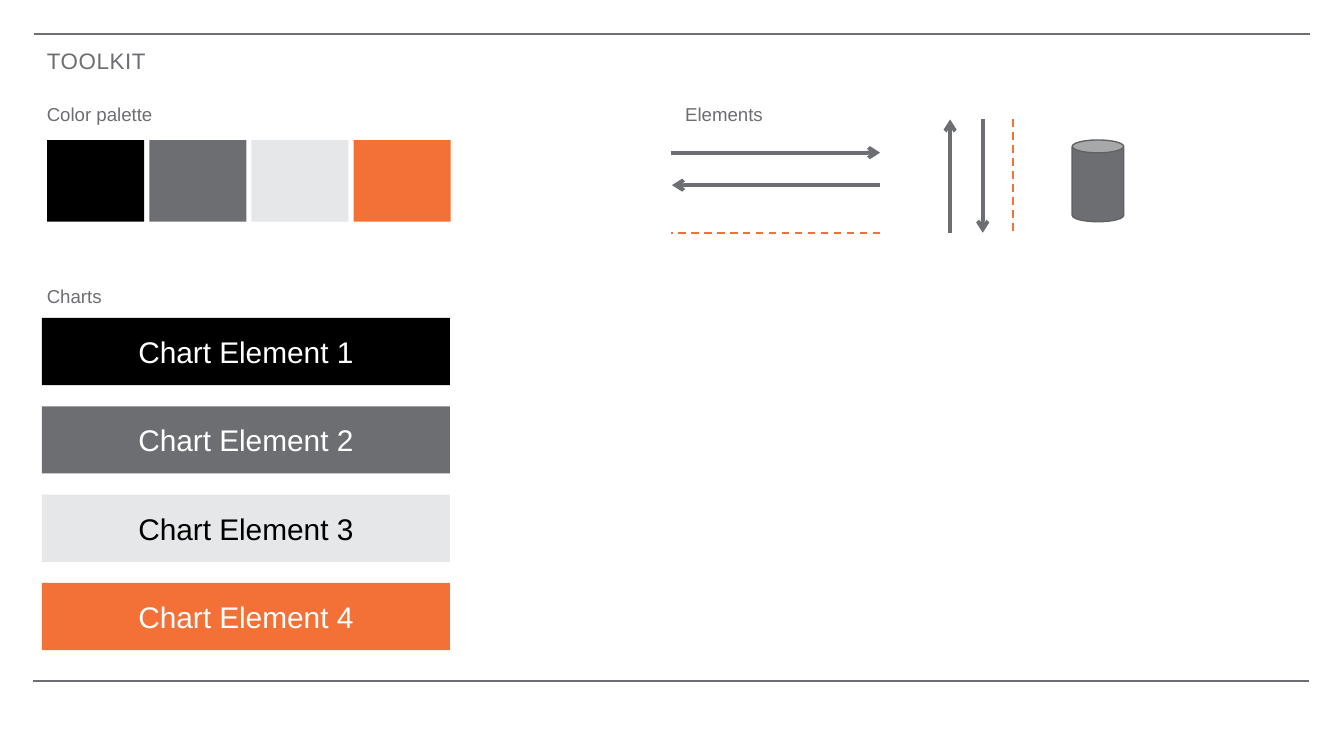
import pptx
import pptx.dml.color
import pptx.enum.dml
import pptx.enum.shapes
import pptx.enum.text
import pptx.oxml.ns
import pptx.util
from lxml import etree

Pt = pptx.util.Pt
SHAPES = pptx.enum.shapes.MSO_SHAPE
FONT = "Arial"
COLORS = {
    "black": "000000",
    "gray": "6D6E71",
    "light": "E6E7E8",
    "orange": "F37037",
    "outline": "616263",
    "white": "FFFFFF",
}

# text, left, top, width, height, size
LABELS = [
    ("TOOLKIT", 18, 21.6, 143.3, 21.6, 12),
    ("Color palette", 18, 51.8, 116.6, 19.4, 10),
    ("Charts", 18, 149, 56.2, 19.4, 10),
    ("Elements", 360, 51.8, 90, 19.4, 10),
]
TITLE_SPACING = 0.3

PALETTE = ["black", "gray", "light", "orange"]
SWATCH = {"left": 25.3, "top": 75, "width": 52, "height": 43.8, "step": 54.7}

BARS = [
    ("Chart Element 1", "black", "white"),
    ("Chart Element 2", "gray", "white"),
    ("Chart Element 3", "light", "black"),
    ("Chart Element 4", "orange", "white"),
]
BAR = {"left": 22.4, "top": 170.4, "width": 218.7, "height": 36, "step": 47.3}

# start x, start y, end x, end y
RULES = [(18, 18, 702, 18), (17.7, 365, 701.3, 365)]
ARROWS = [
    (359.5, 81.8, 471.5, 81.8),
    (471.5, 99.2, 360, 99.2),
    (509, 124.7, 509, 64),
    (526.5, 64, 526.5, 124.7),
]
DASHES = [(542.5, 64, 542.5, 124.7), (471.5, 124.7, 359.5, 124.7)]
CYLINDER = (574.4, 75, 27.6, 43.8)


def rgb(name):
    return pptx.dml.color.RGBColor.from_string(COLORS[name])


def style_font(paragraph, size, color):
    paragraph.font.name = FONT
    paragraph.font.size = Pt(size)
    paragraph.font.color.rgb = rgb(color)


def add_label(slide, text, left, top, width, height, size):
    box = slide.shapes.add_textbox(Pt(left), Pt(top), Pt(width), Pt(height))
    box.text_frame.word_wrap = True
    paragraph = box.text_frame.paragraphs[0]
    paragraph.text = text
    style_font(paragraph, size, "gray")
    return paragraph


def add_filled(slide, kind, left, top, width, height, color):
    shape = slide.shapes.add_shape(kind, Pt(left), Pt(top), Pt(width), Pt(height))
    shape.shadow.inherit = False
    shape.fill.solid()
    shape.fill.fore_color.rgb = rgb(color)
    shape.line.fill.background()
    return shape


def add_line(slide, points, color, width, dashed=False, arrow=False):
    connector = slide.shapes.add_connector(
        pptx.enum.shapes.MSO_CONNECTOR.STRAIGHT, *(Pt(value) for value in points)
    )
    connector.line.color.rgb = rgb(color)
    connector.line.width = Pt(width)
    if dashed:
        connector.line.dash_style = pptx.enum.dml.MSO_LINE.DASH
    if arrow:
        outline = connector.line._get_or_add_ln()
        etree.SubElement(outline, pptx.oxml.ns.qn("a:tailEnd"), type="arrow")
    etree.SubElement(connector._element.spPr, pptx.oxml.ns.qn("a:effectLst"))


def main():
    presentation = pptx.Presentation()
    presentation.slide_width = Pt(720)
    presentation.slide_height = Pt(405)
    slide = presentation.slides.add_slide(presentation.slide_layouts[6])

    title, *_ = [add_label(slide, *label) for label in LABELS]
    title.runs[0].font._element.set("spc", str(round(TITLE_SPACING * 100)))

    for points in RULES:
        add_line(slide, points, "gray", 1)
    for points in ARROWS:
        add_line(slide, points, "gray", 2, arrow=True)
    for points in DASHES:
        add_line(slide, points, "orange", 1, dashed=True)

    cylinder = add_filled(slide, SHAPES.CAN, *CYLINDER, "gray")
    cylinder.line.color.rgb = rgb("outline")
    cylinder.line.width = Pt(0.75)

    for index, color in enumerate(PALETTE):
        left = SWATCH["left"] + index * SWATCH["step"]
        add_filled(slide, SHAPES.RECTANGLE, left, SWATCH["top"],
                   SWATCH["width"], SWATCH["height"], color)

    for index, (text, color, text_color) in enumerate(BARS):
        top = BAR["top"] + index * BAR["step"]
        bar = add_filled(slide, SHAPES.RECTANGLE, BAR["left"], top,
                         BAR["width"], BAR["height"], color)
        bar.text_frame.vertical_anchor = pptx.enum.text.MSO_ANCHOR.MIDDLE
        paragraph = bar.text_frame.paragraphs[0]
        paragraph.text = text
        paragraph.alignment = pptx.enum.text.PP_ALIGN.CENTER
        style_font(paragraph, 16, text_color)

    presentation.save("out.pptx")


if __name__ == "__main__":
    main()
